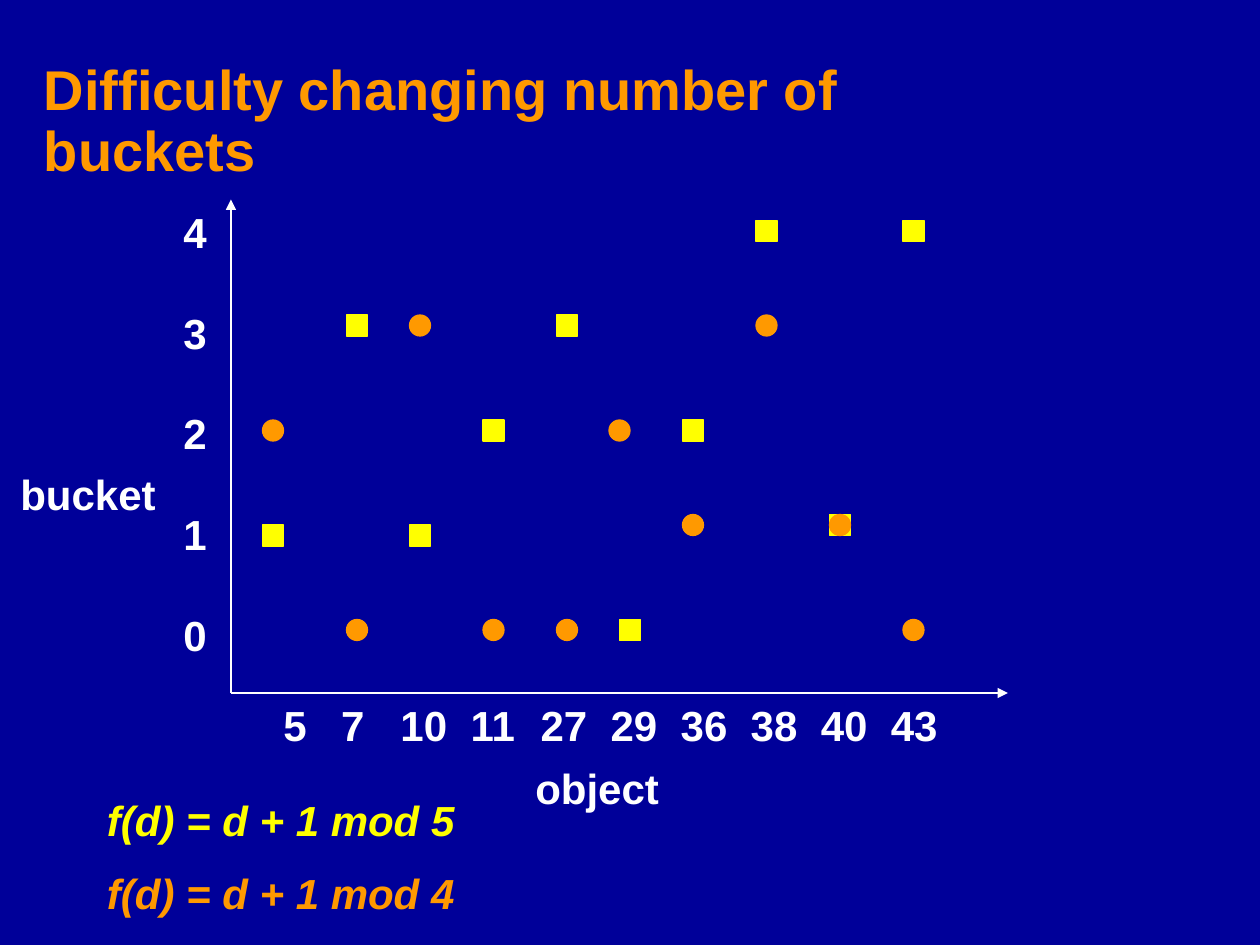
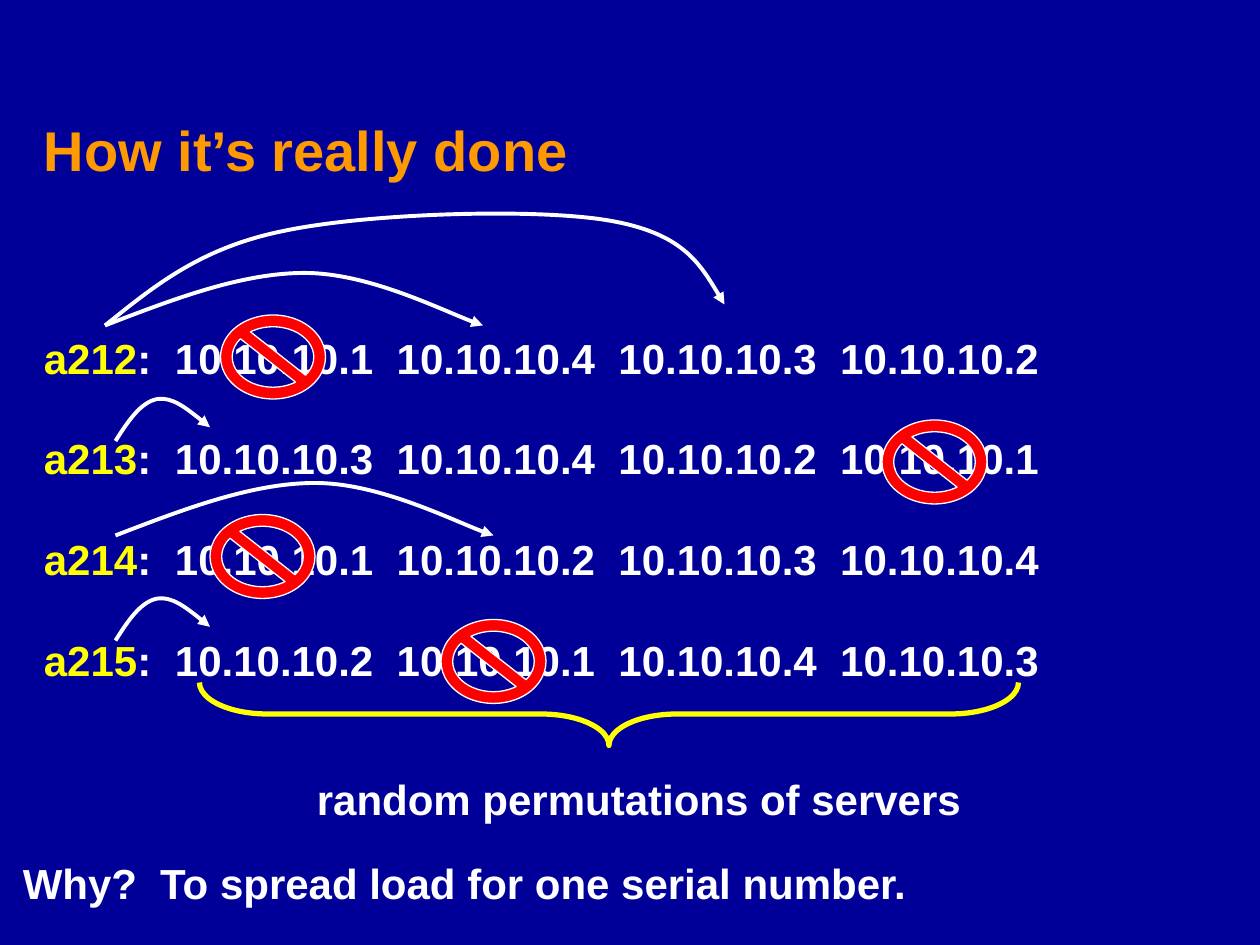
from pptx import Presentation
from pptx.dml.color import RGBColor
from pptx.enum.shapes import MSO_CONNECTOR, MSO_SHAPE
from pptx.enum.text import MSO_ANCHOR
from pptx.oxml.ns import qn
from pptx.util import Inches, Pt
from lxml.etree import SubElement

NAVY, ORANGE, YELLOW, WHITE, RED = "000099", "FF9900", "FFFF00", "FFFFFF", "FF0000"
FONT = "Arial"
COLS, ROWS = 120, 90          # slide grid, twelve cells to the inch

OBJECTS = [5, 7, 10, 11, 27, 29, 36, 38, 40, 43]
OBJECT_X = [3, 11, 17, 24, 31, 37, 43, 50, 57, 64]   # columns right of the corner
BUCKET_Y = [7, 17, 26, 36, 45]                       # rows above the corner
NUDGES = {(5, 5): (0, 1), (10, 5): (0, 1), (29, 4): (-1, 0)}  # (object, modulus)

SERVERS = {"a212": [1, 4, 3, 2], "a213": [3, 4, 2, 1],
           "a214": [1, 2, 3, 4], "a215": [2, 1, 4, 3]}

# Bezier points of the arrows, relative to their start
SHORT_HOP = [(1.2, -1.9), (2.4, -3.7), (4, -4), (5.4, -4.2), (7.2, -2.8), (9, -1.3)]
MEDIUM_HOP = [(6.5, -2.5), (13, -5), (19, -5), (25, -5), (33.2, -0.9), (36, 0)]
LONG_HOP = [(4.5, -3.6), (9, -7.4), (17, -9), (25, -10.7), (41, -11.2), (48, -10),
            (55, -8.8), (57, -5.4), (59, -2)]


def cells(*values):
    """Grid cells to EMU."""
    return [Inches(v / 12) for v in values]


def rgb(color):
    return RGBColor.from_string(color)


def put_text(s, box, paragraphs, size=24, color=WHITE, italic=False, spacing=29,
             before=0, tabs=(), anchor=MSO_ANCHOR.TOP):
    """Each paragraph is a list of (text, colour) runs, or a plain string."""
    tf = s.shapes.add_textbox(*cells(*box)).text_frame
    tf.word_wrap, tf.vertical_anchor = True, anchor
    for i, runs in enumerate(paragraphs):
        p = tf.paragraphs[0] if i == 0 else tf.add_paragraph()
        if tabs:
            tab_list = SubElement(p._p.get_or_add_pPr(), qn("a:tabLst"))
            for pos in tabs:
                SubElement(tab_list, qn("a:tab"), pos=str(Inches(pos)), algn="l")
        p.line_spacing = Pt(spacing)
        if i:
            p.space_before = Pt(before)
        for text, tint in [(runs, color)] if isinstance(runs, str) else runs:
            r = p.add_run()
            r.text = text
            r.font.name, r.font.size = FONT, Pt(size)
            r.font.bold, r.font.italic = True, italic
            r.font.color.rgb = rgb(tint)


def set_line(sp, color, width, arrow=False):
    sp.line.color.rgb = rgb(color)
    sp.line.width = Pt(width)
    if arrow:
        SubElement(sp.line._get_or_add_ln(), qn("a:tailEnd"), type="triangle")


def add_preset(s, kind, box, fill, line, width=0.75):
    sp = s.shapes.add_shape(kind, *cells(*box))
    sp.shadow.inherit = False
    if fill:
        sp.fill.solid()
        sp.fill.fore_color.rgb = rgb(fill)
    else:
        sp.fill.background()
    set_line(sp, line, width)
    return sp


def add_axis(s, x1, y1, x2, y2):
    sp = s.shapes.add_connector(MSO_CONNECTOR.STRAIGHT, *cells(x1, y1, x2, y2))
    set_line(sp, WHITE, 0.75, arrow=True)
    SubElement(sp._element.spPr, qn("a:effectLst"))


def add_curved_arrow(s, x, y, hops):
    builder = s.shapes.build_freeform(*cells(x, y))
    builder.add_line_segments([cells(x + dx, y + dy) for dx, dy in hops], close=False)
    sp = builder.convert_to_shape()
    path = next(sp._element.iter(qn("a:path")))
    segments = path.findall(qn("a:lnTo"))
    for i in range(0, len(segments), 3):
        curve = SubElement(path, qn("a:cubicBezTo"))
        for segment in segments[i:i + 3]:
            curve.append(segment[0])
            path.remove(segment)
    sp.shadow.inherit = False
    sp.fill.background()
    set_line(sp, WHITE, 2.25, arrow=True)


def new_slide(prs, title):
    s = prs.slides.add_slide(prs.slide_layouts[6])
    s.background.fill.solid()
    s.background.fill.fore_color.rgb = rgb(NAVY)
    put_text(s, (3, 3, 94, 15), [title], size=32, color=ORANGE, spacing=35,
             anchor=MSO_ANCHOR.BOTTOM)
    return s


def bucket_plot(s, left, top, width, height):
    bottom = top + height
    add_axis(s, left, bottom, left, top)
    add_axis(s, left, bottom, left + width, bottom)
    put_text(s, (left + 3.8, bottom, 68, 6), ["\t".join(map(str, OBJECTS))],
             tabs=[0.46] + [0.93 + 0.556 * i for i in range(8)])
    put_text(s, (left - 5.7, top, 5, 44), list("43210"), before=28.7)
    put_text(s, (left - 21.25, top + 25, 16, 6), ["bucket"])
    put_text(s, (left + 27.8, bottom + 6, 15, 6), ["object"])
    for modulus, kind, color in ((5, MSO_SHAPE.RECTANGLE, YELLOW),
                                 (4, MSO_SHAPE.OVAL, ORANGE)):
        for obj, x in zip(OBJECTS, OBJECT_X):
            dx, dy = NUDGES.get((obj, modulus), (0, 0))
            y = BUCKET_Y[(obj + 1) % modulus]
            add_preset(s, kind, (left + x + dx, bottom - y + dy, 2, 2), color, color)


def hash_formulas(s, left, top):
    for i, (modulus, color) in enumerate(((5, YELLOW), (4, ORANGE))):
        put_text(s, (left, top + 7 * i, 40, 6), [f"f(d) = d + 1 mod {modulus}"],
                 color=color, italic=True)


def server_lists(s, left, top):
    rows = [[(name, YELLOW), (":\t" + "\t".join(f"10.10.10.{n}" for n in order), WHITE)]
            for name, order in SERVERS.items()]
    put_text(s, (left, top, 104, 35), rows, before=28.7,
             tabs=[1.04 + 1.76 * i for i in range(4)])
    for x, y in ((18, -1), (81, 9), (17, 18), (39, 28)):
        sign = add_preset(s, MSO_SHAPE.NO_SYMBOL, (left + x, top + y, 10, 8), RED, WHITE)
        sign.adjustments[0] = 0.14
    for x, y, hops in ((7, 0, MEDIUM_HOP), (8, 20, MEDIUM_HOP), (8, 11, SHORT_HOP),
                       (8, 30, SHORT_HOP), (7, 0, LONG_HOP)):
        add_curved_arrow(s, left + x, top + y, hops)


def brace_caption(s, left, top, width, depth):
    """A brace pointing down, with its caption below."""
    x, y = left + (width - depth) / 2, top + (depth - width) / 2
    brace = add_preset(s, MSO_SHAPE.LEFT_BRACE, (x, y, depth, width), None, YELLOW, 3)
    brace.rotation = 270
    brace.adjustments[0] = 1.08
    put_text(s, (left + 10, top + 8, 66, 6), ["random permutations of servers"])


def main():
    prs = Presentation()
    prs.slide_width, prs.slide_height = cells(COLS, ROWS)

    s = new_slide(prs, "Difficulty changing number of buckets")
    bucket_plot(s, 22, 19, 74, 47)
    hash_formulas(s, 9, 75)

    s = new_slide(prs, "How it’s really done")
    server_lists(s, 3, 31)
    brace_caption(s, 19, 65, 78, 6)
    put_text(s, (1, 81, 90, 6), ["Why?\tTo spread load for one serial number."],
             tabs=[1.09])

    prs.save("out.pptx")


if __name__ == "__main__":
    main()
